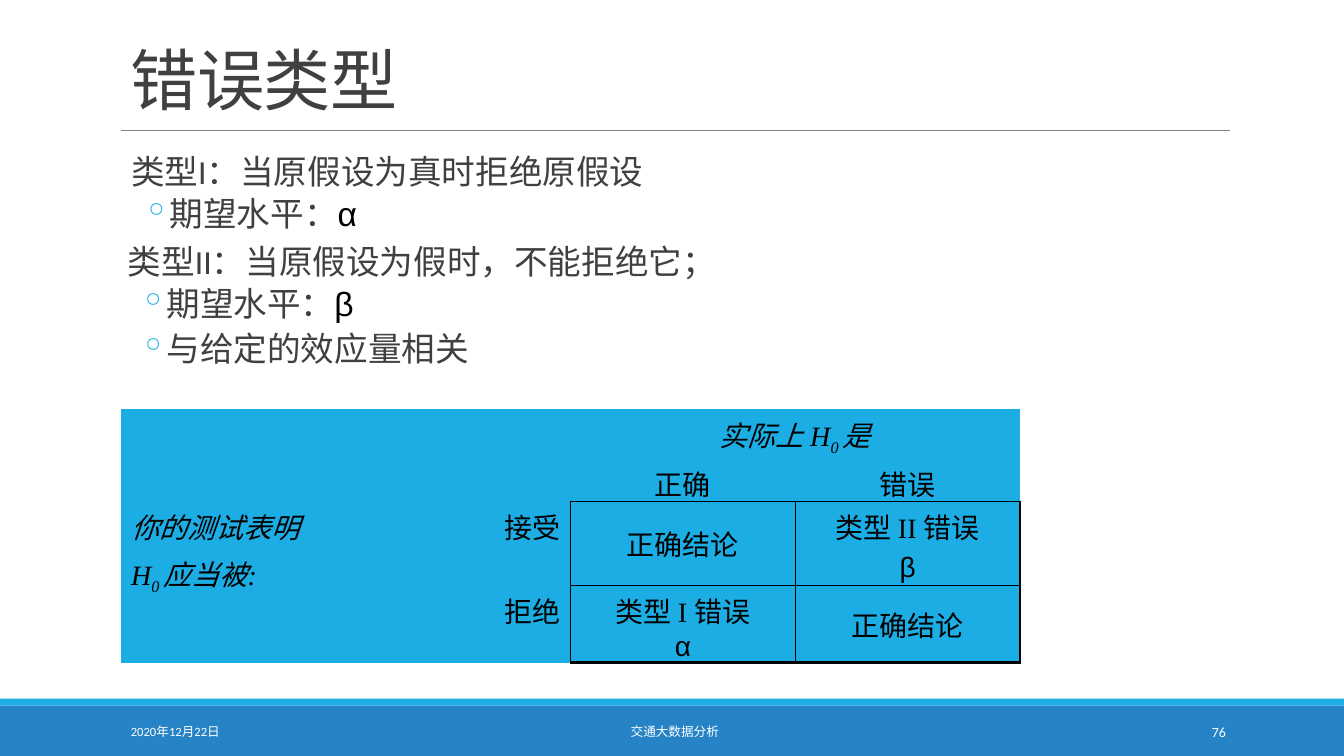
from lxml.etree import SubElement
from pptx import Presentation
from pptx.dml.color import RGBColor
from pptx.enum.lang import MSO_LANGUAGE_ID as Language
from pptx.enum.shapes import MSO_CONNECTOR as Connector, MSO_SHAPE as Shape
from pptx.enum.text import MSO_ANCHOR as Anchor, PP_ALIGN as Align
from pptx.oxml.ns import qn
from pptx.util import Pt

CYAN, BLUE, GRAY, DARK, BLACK, WHITE = (
    "1CADE4", "2683C6", "808080", "404040", "000000", "FFFFFF")
LEFT = 86.4

BARS = [(504, 36, BLUE), (499, 5, CYAN)]
TITLE = "错误类型"
FOOTERS = [
    (LEFT, 194.4, "2020年12月22日", 9, Align.LEFT),
    (292.3, 379.4, "交通大数据分析", 9, Align.CENTER),
    (779.8, 103, "76", 10, Align.RIGHT),
]
ERROR_TYPES = [
    (LEFT, 107.3, 812.2, 84.2, 0, "类型I：当原假设为真时拒绝原假设",
     [("期望水平：", "α")]),
    (77, 172.1, 820.8, 108, 7.2, "类型II：当原假设为假时，不能拒绝它；",
     [("期望水平：", "β"), ("与给定的效应量相关", "")]),
]

TABLE_TOP = 292.3
COLUMN_WIDTH = 160.56
ROW_HEIGHTS = [31, 31, 60, 55.4]
FIRST_RESULT = 2
GREEK = ("α", "β")
SUBSCRIPT = "0 "
CELLS = {
    (0, 2): [["实际上 H", SUBSCRIPT, "是"]],
    (1, 2): [["正确"]],
    (1, 3): [["错误"]],
    (2, 0): [["你的测试表明"], ["H", SUBSCRIPT, "应当被:"]],
    (2, 1): [["接受"]],
    (2, 2): [["正确结论"]],
    (2, 3): [["类型 II 错误"], ["β"]],
    (3, 1): [["拒绝"]],
    (3, 2): [["类型 I 错误", "\n", "α"]],
    (3, 3): [["正确结论"]],
}
ITALIC_CELLS = [(0, 2), (2, 0)]
MERGES = [((0, 2), (0, 3)), ((2, 0), (3, 0))]

deck = Presentation()
deck.slide_width, deck.slide_height = Pt(960), Pt(540)
page = deck.slides.add_slide(deck.slide_layouts[6])


def color(value):
    return RGBColor.from_string(value)


def style(font, size, name, ink):
    font.size, font.name = Pt(size), name
    font.color.rgb = color(ink)


def add_span(para, text):
    span = para.add_run()
    span.text = text
    span.font.language_id = Language.SIMPLIFIED_CHINESE
    return span


def add_frame(left, top, width, height, anchor=Anchor.TOP):
    box = page.shapes.add_textbox(Pt(left), Pt(top), Pt(width), Pt(height))
    frame = box.text_frame
    frame.word_wrap, frame.vertical_anchor = True, anchor
    return frame


def space(para, line, before, after):
    para.line_spacing = line
    para.space_before, para.space_after = Pt(before), Pt(after)


def indent(para, margin, first, bullet=None):
    properties = para._p.get_or_add_pPr()
    properties.set("marL", str(Pt(margin)))
    properties.set("indent", str(Pt(first)))
    if bullet:
        tint = SubElement(properties, qn("a:buClr"))
        SubElement(tint, qn("a:srgbClr"), val=CYAN)
        SubElement(properties, qn("a:buChar"), char=bullet)


def border_width(edge, across):
    if edge < FIRST_RESULT or across < FIRST_RESULT:
        return 0
    return 2.25 if edge == len(ROW_HEIGHTS) else 1


def draw_borders(cell, row, column):
    edges = [("a:lnL", column, row), ("a:lnR", column + 1, row),
             ("a:lnT", row, column), ("a:lnB", row + 1, column)]
    for tag, edge, across in edges:
        width = border_width(edge, across)
        line = SubElement(cell._tc.get_or_add_tcPr(), qn(tag), w=str(Pt(width)))
        if width:
            fill = SubElement(line, qn("a:solidFill"))
            SubElement(fill, qn("a:srgbClr"), val=BLACK)
        else:
            SubElement(line, qn("a:noFill"))


def fill_cell(cell, row, column):
    draw_borders(cell, row, column)
    cell.fill.solid()
    cell.fill.fore_color.rgb = color(CYAN)
    if min(row, column) >= FIRST_RESULT:
        cell.vertical_anchor = Anchor.MIDDLE
    for index, texts in enumerate(CELLS.get((row, column), [])):
        frame = cell.text_frame
        para = frame.add_paragraph() if index else frame.paragraphs[0]
        para.alignment = [Align.LEFT, Align.RIGHT, Align.CENTER, Align.CENTER][column]
        para.space_before = Pt(4)
        style(para.font, 20, "Times New Roman", BLACK)
        para.font.italic = (row, column) in ITALIC_CELLS
        for text in texts:
            if text == "\n":
                para.add_line_break()
                continue
            span = add_span(para, text)
            if text in GREEK:
                span.font.name = "Arial"
            if text == SUBSCRIPT:
                span._r.get_or_add_rPr().set("baseline", "-25000")


for top, height, ink in BARS:
    bar = page.shapes.add_shape(Shape.RECTANGLE, 0, Pt(top), Pt(960), Pt(height))
    bar.shadow.inherit = False
    bar.fill.solid()
    bar.fill.fore_color.rgb = color(ink)
    bar.line.fill.background()

rule = page.shapes.add_connector(
    Connector.STRAIGHT, Pt(LEFT), Pt(93), Pt(878.4), Pt(93))
rule.line.color.rgb = color(GRAY)
rule.line.width = Pt(0.5)
SubElement(rule._element.spPr, qn("a:effectLst"))

heading = add_frame(LEFT, 10, 792, 78.5, Anchor.BOTTOM).paragraphs[0]
heading.line_spacing = 0.85
style(heading.font, 48, "Calibri", DARK)
add_span(heading, TITLE)._r.get_or_add_rPr().set("spc", "-50")

for left, width, text, size, alignment in FOOTERS:
    para = add_frame(left, 508.3, width, 28.8, Anchor.MIDDLE).paragraphs[0]
    para.alignment = alignment
    style(para.font, size, "Calibri", WHITE)
    add_span(para, text)

for left, top, width, height, inset, lead, points in ERROR_TYPES:
    frame = add_frame(left, top, width, height)
    frame.margin_left = frame.margin_right = Pt(inset)
    para = frame.paragraphs[0]
    space(para, 0.9, 12, 2)
    indent(para, 7.2, 0)
    style(para.font, 24, "Calibri", DARK)
    add_span(para, lead)
    for text, symbol in points:
        para = frame.add_paragraph()
        para.level = 1
        space(para, 0.9, 2, 4)
        indent(para, 30.2, -14.4, "◦")
        style(para.font, 24, "Calibri", DARK)
        add_span(para, text)
        if symbol:
            style(add_span(para, symbol).font, 24, "Arial", BLACK)

count = len(ROW_HEIGHTS)
table = page.shapes.add_table(
    count, count, Pt(LEFT), Pt(TABLE_TOP),
    Pt(COLUMN_WIDTH * count), Pt(sum(ROW_HEIGHTS))).table
table.first_row = table.horz_banding = False
for index, height in enumerate(ROW_HEIGHTS):
    table.rows[index].height = Pt(height)
    table.columns[index].width = Pt(COLUMN_WIDTH)
for row in range(count):
    for column in range(count):
        fill_cell(table.cell(row, column), row, column)
for start, end in MERGES:
    table.cell(*start).merge(table.cell(*end))

deck.save("out.pptx")
